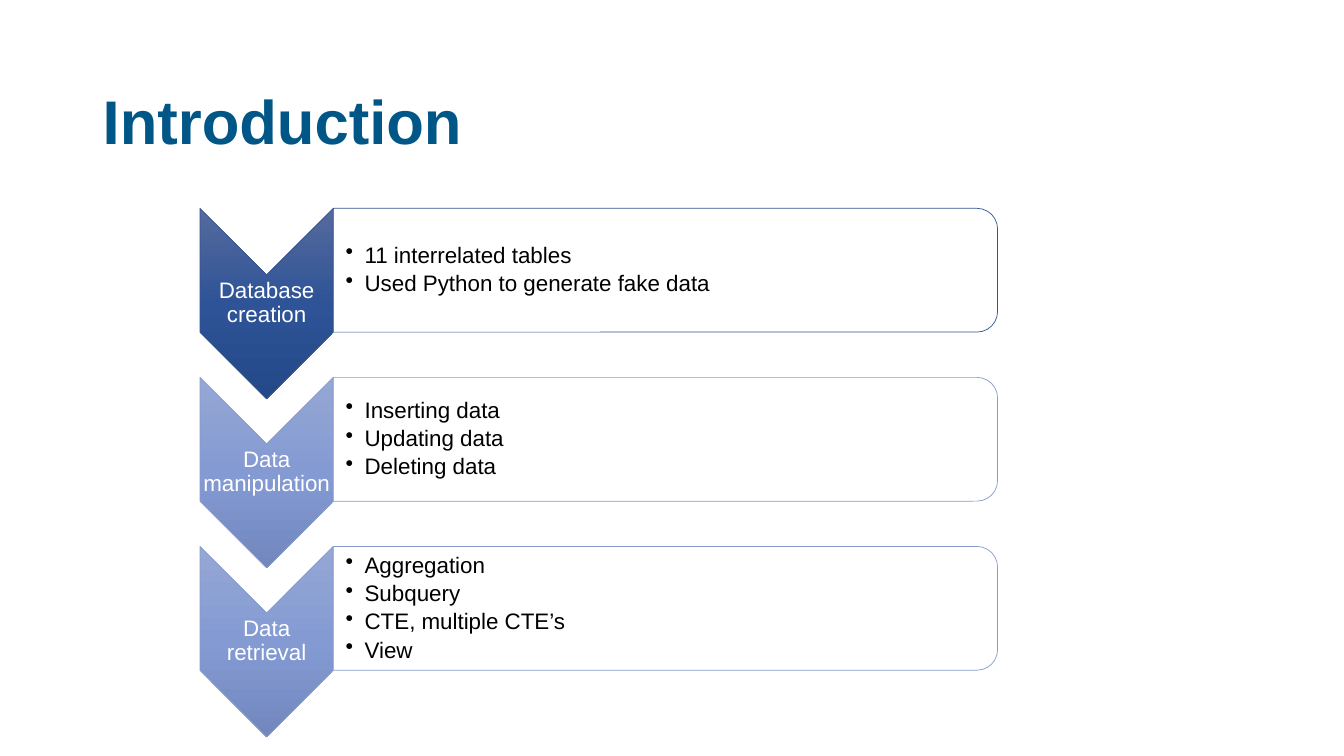
from dataclasses import dataclass

from lxml.etree import SubElement
from pptx import Presentation
from pptx.dml.color import RGBColor
from pptx.enum.shapes import MSO_SHAPE
from pptx.enum.text import MSO_ANCHOR, PP_ALIGN
from pptx.oxml import parse_xml
from pptx.oxml.ns import nsdecls, qn
from pptx.util import Cm, Pt


@dataclass(frozen=True)
class Theme:
    font: str = "Arial"
    title_size: int = 44
    body_size: int = 16
    title: str = "005687"
    body: str = "000000"
    label: str = "FFFFFF"
    panel: str = "FFFFFF"
    dark: tuple = ("566B9E", "2E5396", "244989")
    dark_line: str = "325491"
    light: tuple = ("95A7D4", "849AD2", "7187BE")
    light_line: str = "879BCE"


THEME = Theme()
STAGES = [
    ("Database creation", THEME.dark, THEME.dark_line,
     ["11 interrelated tables", "Used Python to generate fake data"]),
    ("Data manipulation", THEME.light, THEME.light_line,
     ["Inserting data", "Updating data", "Deleting data"]),
    ("Data retrieval", THEME.light, THEME.light_line,
     ["Aggregation", "Subquery", "CTE, multiple CTE’s", "View"]),
]
STAGE_PITCH = 4.26
CHEVRON_WIDTH, CHEVRON_HEIGHT = 3.36, 4.8
PANEL_HEIGHT = 3.12


def set_format(target, values):
    for name, value in values.items():
        setattr(target, name, value)


def add_text(slide, box, lines, size, color, frame_format, bold=False,
             alignment=PP_ALIGN.LEFT, bulleted=False):
    frame = slide.shapes.add_textbox(*map(Cm, box)).text_frame
    set_format(frame, {"word_wrap": True, **frame_format})
    for index, line in enumerate(lines):
        paragraph = frame.paragraphs[0] if index == 0 else frame.add_paragraph()
        set_format(paragraph, {"alignment": alignment, "line_spacing": 0.9})
        if bulleted:
            set_format(paragraph, {"level": 1, "space_after": Pt(3)})
            properties = paragraph._p.get_or_add_pPr()
            properties.set("marL", str(Cm(0.48)))
            properties.set("indent", str(Cm(-0.48)))
            SubElement(properties, qn("a:buChar"), char="•")
        run = paragraph.add_run()
        run.text = line
        set_format(run.font, {"name": THEME.font, "size": Pt(size), "bold": bold})
        run.font.color.rgb = RGBColor.from_string(color)


def add_downward_shape(slide, kind, box, line_color):
    """Add a preset turned a quarter clockwise so that it fills the given box."""
    left, top, width, height = box
    turned_box = (left + (width - height) / 2, top + (height - width) / 2, height, width)
    shape = slide.shapes.add_shape(kind, *map(Cm, turned_box))
    shape.rotation = 90
    shape.shadow.inherit = False
    shape.line.width = Pt(0.5)
    shape.line.color.rgb = RGBColor.from_string(line_color)
    return shape


def fill_vertical_gradient(shape, colors):
    stops = "".join(
        f'<a:gs pos="{index * 50000}"><a:srgbClr val="{color}"/></a:gs>'
        for index, color in enumerate(colors))
    gradient = parse_xml(
        f'<a:gradFill {nsdecls("a")} rotWithShape="0"><a:gsLst>{stops}</a:gsLst>'
        '<a:lin ang="5400000" scaled="0"/></a:gradFill>')
    shape._element.spPr.find(qn("a:prstGeom")).addnext(gradient)


def add_chevron(slide, box, label, colors, line_color):
    left, top, width, height = box
    chevron = add_downward_shape(slide, MSO_SHAPE.CHEVRON, box, line_color)
    fill_vertical_gradient(chevron, colors)
    margins = dict.fromkeys(
        ("margin_left", "margin_top", "margin_right", "margin_bottom"), Cm(0.03))
    add_text(slide, (left, top + width / 2, width, height - width), [label],
             THEME.body_size, THEME.label,
             {"vertical_anchor": MSO_ANCHOR.MIDDLE, **margins},
             alignment=PP_ALIGN.CENTER)


def add_panel(slide, box, lines, line_color):
    left, top, width, height = box
    panel = add_downward_shape(slide, MSO_SHAPE.ROUND_2_SAME_RECTANGLE, box, line_color)
    panel.fill.solid()
    panel.fill.fore_color.rgb = RGBColor.from_string(THEME.panel)
    color = panel._element.spPr.find(qn("a:solidFill")).find(qn("a:srgbClr"))
    SubElement(color, qn("a:alpha"), val="90000")
    add_text(slide, (left, top + 0.15, width - 0.15, height - 0.3), lines,
             THEME.body_size, THEME.body,
             {"vertical_anchor": MSO_ANCHOR.MIDDLE, "margin_left": Cm(0.31),
              "margin_top": Cm(0.03), "margin_right": Cm(0.03),
              "margin_bottom": Cm(0.03)}, bulleted=True)


def add_stages(slide, box):
    left, top, width = box
    for index, (label, colors, line_color, lines) in enumerate(STAGES):
        stage_top = top + index * STAGE_PITCH
        add_chevron(slide, (left, stage_top, CHEVRON_WIDTH, CHEVRON_HEIGHT),
                    label, colors, line_color)
        add_panel(slide, (left + CHEVRON_WIDTH, stage_top,
                          width - CHEVRON_WIDTH, PANEL_HEIGHT), lines, line_color)


def add_title(slide, box):
    add_text(slide, box, ["Introduction"], THEME.title_size, THEME.title,
             {"vertical_anchor": MSO_ANCHOR.TOP}, bold=True)


def main():
    presentation = Presentation()
    set_format(presentation, {"slide_width": Cm(33.87), "slide_height": Cm(19.05)})
    slide = presentation.slides.add_slide(presentation.slide_layouts[6])
    add_title(slide, (2.34, 2.18, 25.43, 1.63))
    add_stages(slide, (5.04, 5.25, 20.1))
    presentation.save("out.pptx")


if __name__ == "__main__":
    main()
